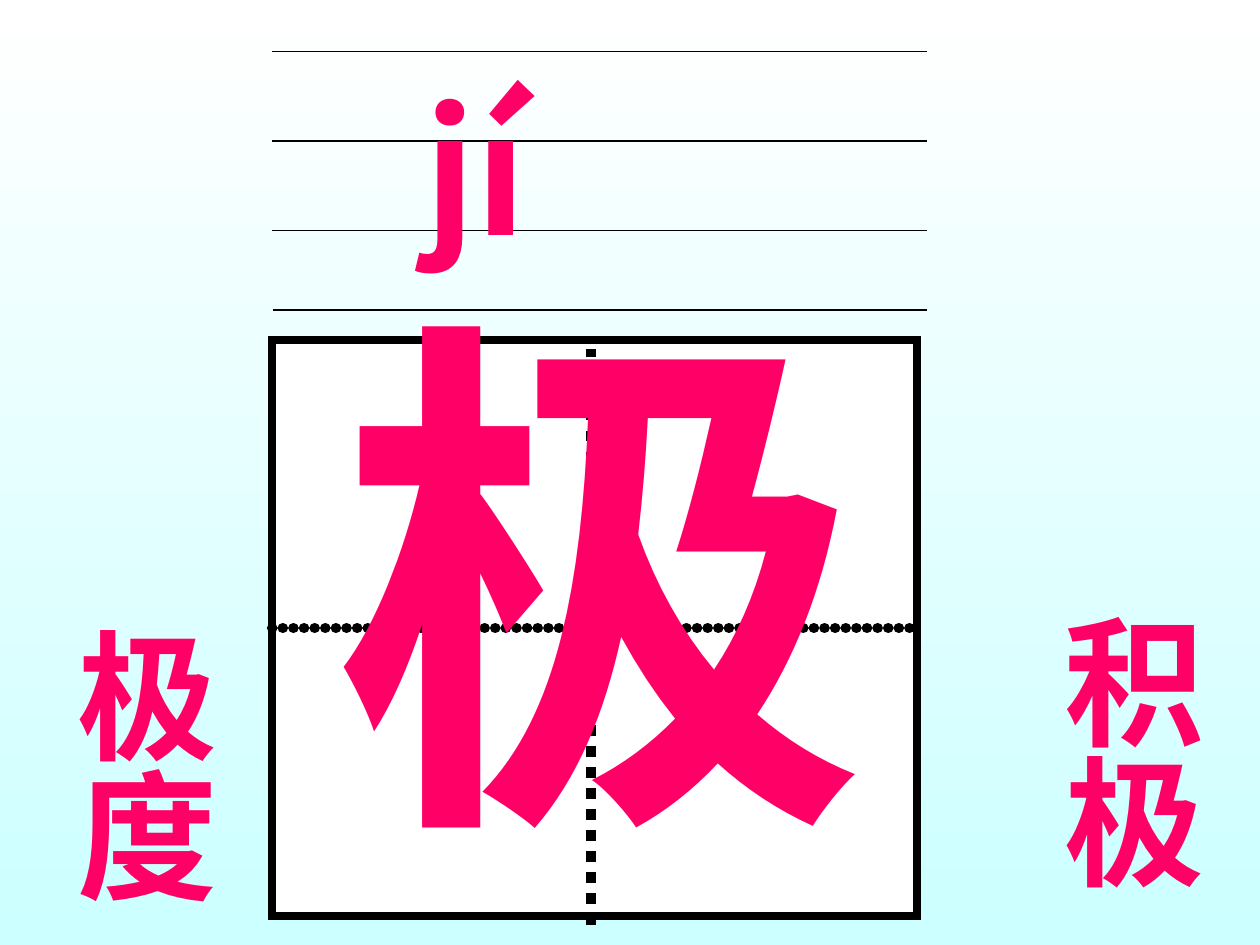
from lxml import etree
from pptx import Presentation
from pptx.dml.color import RGBColor
from pptx.enum.dml import MSO_LINE
from pptx.enum.shapes import MSO_CONNECTOR, MSO_SHAPE
from pptx.enum.text import MSO_AUTO_SIZE
from pptx.oxml.ns import qn
from pptx.util import Inches, Pt

COLORS = {"white": "FFFFFF", "aqua": "CCFFFF", "black": "000000", "pink": "FF0066"}
CJK_FONT = "Noto Sans CJK SC"


def color(name):
    return RGBColor.from_string(COLORS[name])


def add_line(shapes, x1, y1, x2, y2, width):
    line = shapes.add_connector(
        MSO_CONNECTOR.STRAIGHT, Inches(x1), Inches(y1), Inches(x2), Inches(y2))
    line.line.color.rgb = color("black")
    line.line.width = Pt(width)
    etree.SubElement(line._element.spPr, qn("a:effectLst"))
    return line


presentation = Presentation()
presentation.slide_width = Inches(10)
presentation.slide_height = Inches(7.5)
slide = presentation.slides.add_slide(presentation.slide_layouts[6])

background = slide.background.fill
background.gradient()
background.gradient_angle = 270
for stop, name, position in zip(background.gradient_stops, ("white", "aqua"), (0, 1)):
    stop.color.rgb = color(name)
    stop.position = position

# Character grid: a square with dotted centre lines
grid = slide.shapes.add_group_shape()
square = grid.shapes.add_shape(
    MSO_SHAPE.RECTANGLE, Inches(2.16), Inches(2.7), Inches(5.12), Inches(4.57))
square.shadow.inherit = False
square.fill.solid()
square.fill.fore_color.rgb = color("white")
square.line.color.rgb = color("black")
square.line.width = Pt(4.5)
etree.SubElement(square.line._ln, qn("a:miter"), lim="800000")

horizontal = add_line(grid.shapes, 2.16, 4.98, 7.28, 4.98, 6)
horizontal.begin_connect(square, 1)
horizontal.end_connect(square, 3)
outline = horizontal.line._ln
outline.set("cap", "rnd")
dashes = etree.SubElement(outline, qn("a:custDash"))
etree.SubElement(dashes, qn("a:ds"), d="1000", sp="100000")

vertical = add_line(grid.shapes, 4.69, 7.34, 4.69, 2.77, 6)
vertical.line.dash_style = MSO_LINE.ROUND_DOT

# Four-line pinyin staff
for left, y in ((2.17, 2.46), (2.16, 1.83), (2.16, 1.12), (2.16, 0.41)):
    add_line(slide.shapes, left, y, 7.36, y, 0.75)

# Text, left, top, width, height, size, font, wraps, vertical, top margin
texts = [
    ("jí", 3.27, 0.49, 4.02, 1.7, 96, CJK_FONT, True, False, 0.05),
    ("极", 2.56, 1.91, 4.43, 5.19, 305, "Arial", False, False, 0.05),
    ("极度", 0.32, 4.66, 1.53, 2.84, 80, "Arial", True, True, 0.31),
    ("积极", 8.15, 4.56, 1.53, 2.84, 80, "Arial", True, True, 0.3),
]
for text, left, top, width, height, size, font_name, wraps, is_vertical, margin_top in texts:
    box = slide.shapes.add_textbox(Inches(left), Inches(top), Inches(width), Inches(height))
    frame = box.text_frame
    side, bottom = (0.05, 0.1) if is_vertical else (0.1, 0.05)
    frame_format = {
        "word_wrap": wraps, "auto_size": MSO_AUTO_SIZE.SHAPE_TO_FIT_TEXT,
        "margin_left": Inches(side), "margin_right": Inches(side),
        "margin_top": Inches(margin_top), "margin_bottom": Inches(bottom),
    }
    for attribute, value in frame_format.items():
        setattr(frame, attribute, value)
    if is_vertical:
        frame._txBody.bodyPr.set("vert", "eaVert")
    run = frame.paragraphs[0].add_run()
    run.text = text
    for attribute, value in {"size": Pt(size), "bold": True, "name": font_name}.items():
        setattr(run.font, attribute, value)
    run.font.color.rgb = color("pink")
    etree.SubElement(run._r.get_or_add_rPr(), qn("a:ea"), typeface=CJK_FONT)

presentation.save("out.pptx")
